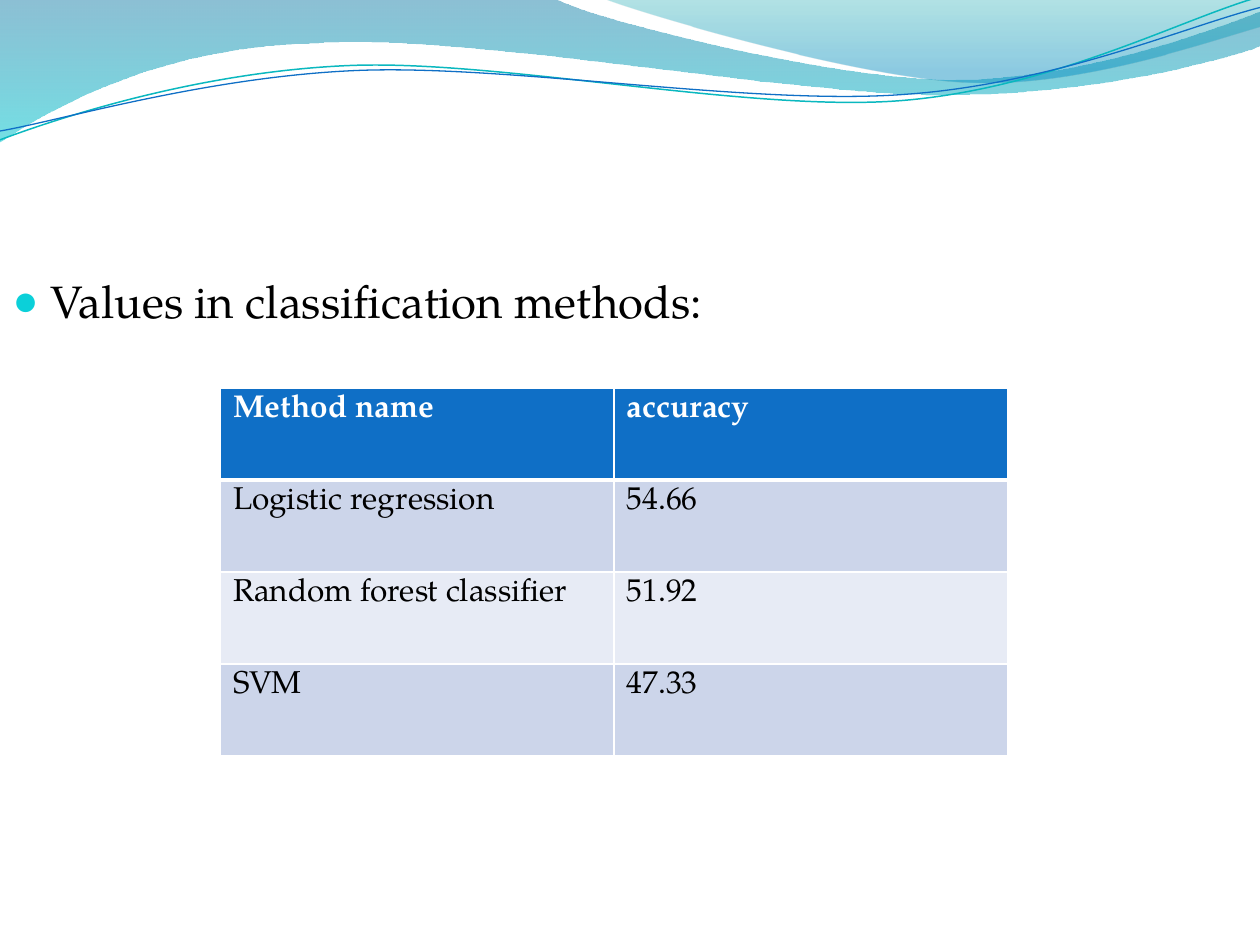
from math import cos, radians, sin

from lxml import etree
from pptx import Presentation
from pptx.dml.color import RGBColor
from pptx.oxml.ns import qn
from pptx.util import Inches, Pt

FONT = "TeX Gyre Pagella"
WHITE = RGBColor(0xFF, 0xFF, 0xFF)
BLACK = RGBColor(0, 0, 0)
BLUE = RGBColor(0x0F, 0x6F, 0xC6)
TEAL = RGBColor(0x0A, 0xB8, 0xBF)
BULLET = RGBColor(0x0B, 0xD0, 0xD9)
BAND_DARK = RGBColor(0xCC, 0xD5, 0xEA)
BAND_LIGHT = RGBColor(0xE7, 0xEB, 0xF5)
DEEP_BLUE = RGBColor(0x00, 0x74, 0xA1)
AQUA = RGBColor(0x00, 0xC6, 0xCF)
SEA_GREEN = RGBColor(0x00, 0xA1, 0xA9)
SKY_BLUE = RGBColor(0x00, 0x8B, 0xBF)
WAVE_TILT = 2.7

WAVE_BANDS = [
    ([(0, 0), (4.4, -0.01),
      (4.76, 0.17, 6.64, 0.63, 7.58, 0.63), (8.53, 0.63, 9.58, 0.26, 10, 0.09),
      (10.01, 0.36),
      (9.83, 0.44, 8.7, 0.76, 7.46, 0.75), (6.22, 0.75, 3.82, 0.28, 2.57, 0.34),
      (1.29, 0.36, 0.46, 0.83, -0.01, 1.13)],
     [(0, DEEP_BLUE, 45), (1, AQUA, 55)]),
    ([(4.79, -0.01),
      (5.09, 0.11, 6.82, 0.62, 7.69, 0.65), (8.56, 0.69, 9.61, 0.32, 10, 0.21),
      (10, 0)],
     [(0, SEA_GREEN, 30), (0.8, SKY_BLUE, 45)]),
]
WAVE_LINES = [
    ([(0, 1.11),
      (0.48, 0.93, 1.58, 0.57, 2.77, 0.52), (3.95, 0.47, 5.93, 0.89, 7.13, 0.8),
      (8.33, 0.71, 9.38, 0.15, 9.98, -0.02)], (4.99, 0.58), TEAL, 0.85),
    ([(0, 1.04),
      (0.47, 0.96, 1.64, 0.61, 2.83, 0.56), (4.03, 0.51, 5.97, 0.84, 7.17, 0.75),
      (8.36, 0.67, 9.41, 0.21, 10, 0.06)], (5, 0.59), BLUE, 0.75),
]
ACCURACIES = [
    ("Method name", "accuracy"),
    ("Logistic regression", "54.66"),
    ("Random forest classifier", "51.92"),
    ("SVM", "47.33"),
]


def level(segment, center):
    turn = radians(WAVE_TILT)
    leveled = []
    for x, y in zip(segment[::2], segment[1::2]):
        dx, dy = x - center[0], y - center[1]
        leveled += [center[0] + dx * cos(turn) - dy * sin(turn),
                    center[1] + dx * sin(turn) + dy * cos(turn)]
    return leveled


def add_outline(slide, left, top, outline, close):
    points = [(Inches(left + x), Inches(top + y))
              for segment in outline for x, y in zip(segment[::2], segment[1::2])]
    builder = slide.shapes.build_freeform(*points[0])
    builder.add_line_segments(points[1:], close=close)
    shape = builder.convert_to_shape()
    shape.shadow.inherit = False
    steps = iter(list(shape.element.iter(qn("a:lnTo"))))
    for segment in outline[1:]:
        first = next(steps)
        if len(segment) == 6:
            first.tag = qn("a:cubicBezTo")
            for _ in range(2):
                step = next(steps)
                first.append(step[0])
                step.getparent().remove(step)
    return shape


def add_waves(slide, left, top):
    for outline, stops in WAVE_BANDS:
        band = add_outline(slide, left, top, outline, True)
        band.line.fill.background()
        band.fill.gradient()
        band.fill.gradient_angle = 270
        for stop, (position, color, _) in zip(band.fill.gradient_stops, stops):
            stop.position = position
            stop.color.rgb = color
        colors = band.element.spPr.iter(qn("a:srgbClr"))
        for node, (_, _, opacity) in zip(colors, stops):
            etree.SubElement(node, qn("a:alpha"), val=str(opacity * 1000))
    for outline, center, color, width in WAVE_LINES:
        leveled = [level(segment, center) for segment in outline]
        wave = add_outline(slide, left, top, leveled, False)
        wave.rotation = 360 - WAVE_TILT
        wave.fill.background()
        wave.line.color.rgb = color
        wave.line.width = Pt(width)


def style_run(run, size, color, bold=False):
    run.font.name = FONT
    run.font.size = Pt(size)
    run.font.color.rgb = color
    run.font.bold = bold


def fill_body(slide, left, top, width, height):
    body = slide.placeholders[1]
    body.left, body.top = Inches(left), Inches(top)
    body.width, body.height = Inches(width), Inches(height)
    body.text_frame.text = "Values in classification methods:"
    paragraph = body.text_frame.paragraphs[0]
    style_run(paragraph.runs[0], 26, BLACK)
    props = paragraph._p.get_or_add_pPr()
    props.set("marL", str(Inches(0.3)))
    props.set("indent", str(Inches(-0.3)))
    bullet_color = etree.SubElement(props, qn("a:buClr"))
    etree.SubElement(bullet_color, qn("a:srgbClr"), val=str(BULLET))
    etree.SubElement(props, qn("a:buSzPct"), val="95000")
    etree.SubElement(props, qn("a:buChar"), char="●")


def set_borders(cell, top, bottom):
    props = cell._tc.get_or_add_tcPr()
    sides = (("a:lnL", 1), ("a:lnR", 1), ("a:lnT", top), ("a:lnB", bottom))
    for index, (tag, width) in enumerate(sides):
        line = etree.Element(qn(tag), w=str(Pt(width)))
        solid = etree.SubElement(line, qn("a:solidFill"))
        etree.SubElement(solid, qn("a:srgbClr"), val=str(WHITE))
        props.insert(index, line)


def add_accuracy_table(slide, left, top, width, height):
    frame = slide.shapes.add_table(
        len(ACCURACIES), len(ACCURACIES[0]),
        Inches(left), Inches(top), Inches(width), Inches(height))
    for row, values in enumerate(ACCURACIES):
        header = row == 0
        band = BLUE if header else BAND_DARK if row % 2 else BAND_LIGHT
        for column, value in enumerate(values):
            cell = frame.table.cell(row, column)
            cell.text_frame.text = value
            style_run(cell.text_frame.paragraphs[0].runs[0], 18,
                      WHITE if header else BLACK, header)
            cell.fill.solid()
            cell.fill.fore_color.rgb = band
            set_borders(cell, 3 if row == 1 else 1, 3 if header else 1)


def build_slide(deck):
    slide = deck.slides.add_slide(deck.slide_layouts[1])
    title = slide.shapes.title.element
    title.getparent().remove(title)
    add_waves(slide, 0, 0)
    fill_body(slide, 0, 2.12, 9, 4.8)
    add_accuracy_table(slide, 1.75, 3.08, 6.25, 2.92)


deck = Presentation()
deck.slide_width, deck.slide_height = Inches(10), Inches(7.5)
build_slide(deck)
deck.save("out.pptx")
